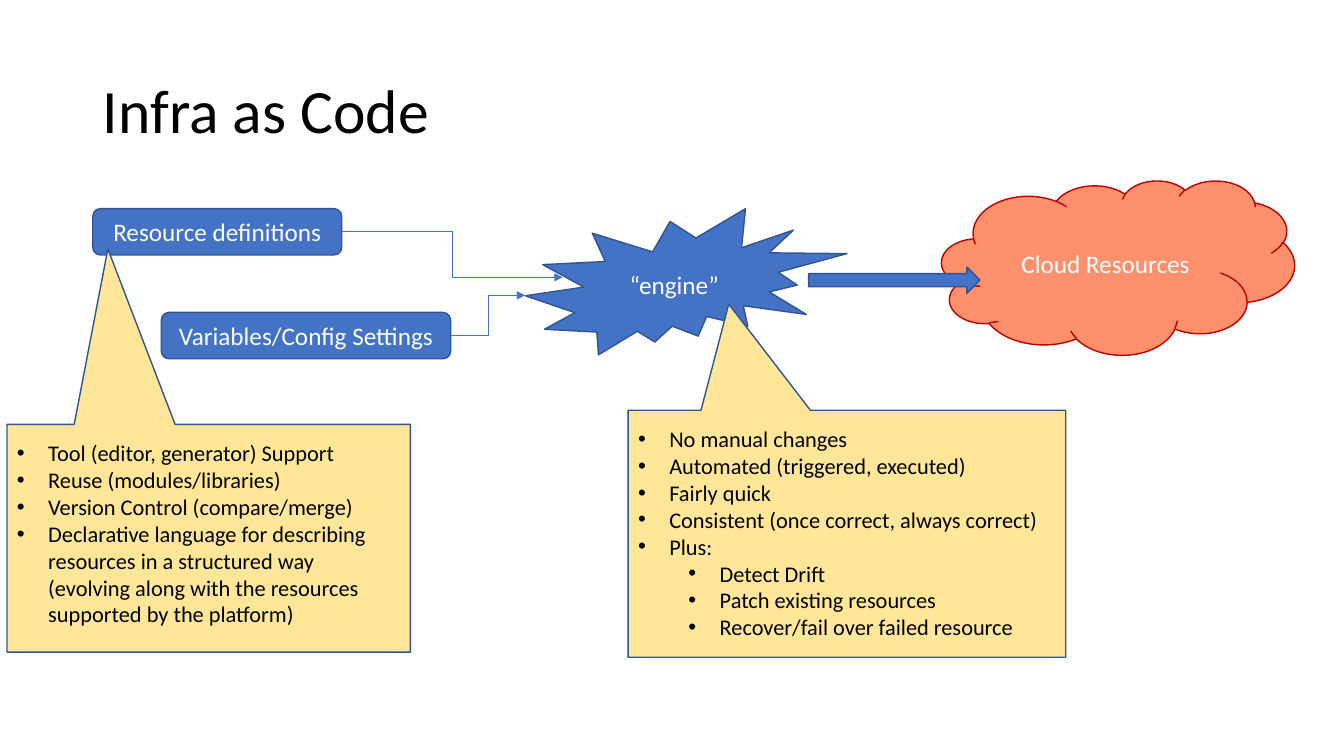
from lxml import etree
from pptx import Presentation
from pptx.dml.color import RGBColor
from pptx.enum.shapes import MSO_CONNECTOR, MSO_SHAPE as Shape
from pptx.enum.text import MSO_ANCHOR, MSO_AUTO_SIZE, PP_ALIGN
from pptx.oxml.ns import qn
from pptx.util import Inches, Pt

BLUE = RGBColor(0x44, 0x72, 0xC4)
NAVY = RGBColor(0x32, 0x54, 0x91)
CORAL = RGBColor(0xFF, 0x90, 0x6D)
RED = RGBColor(0xC0, 0x00, 0x00)
YELLOW = RGBColor(0xFF, 0xE6, 0x99)
WHITE = RGBColor(0xFF, 0xFF, 0xFF)
BLACK = RGBColor(0x00, 0x00, 0x00)

deck = Presentation()
deck.slide_width = Inches(13.33)
deck.slide_height = Inches(7.5)
page = deck.slides.add_slide(deck.slide_layouts[5])


def style_text(para, size, color):
    for span in para.runs:
        span.font.name = "Calibri"
        span.font.size = Pt(size)
        span.font.color.rgb = color


def add_node(kind, bounds, label="", fill=BLUE, outline=NAVY):
    node = page.shapes.add_shape(kind, *map(Inches, bounds))
    node.shadow.inherit = False
    node.fill.solid()
    node.fill.fore_color.rgb = fill
    node.line.color.rgb = outline
    node.line.width = Pt(1)
    if label:
        frame = node.text_frame
        frame.text = label
        frame.vertical_anchor = MSO_ANCHOR.MIDDLE
        frame.paragraphs[0].alignment = PP_ALIGN.CENTER
        style_text(frame.paragraphs[0], 18, WHITE)
    return node


title = page.shapes.title
title.left, title.top = Inches(0.92), Inches(0.4)
title.width, title.height = Inches(11.5), Inches(1.45)
title.text_frame.text = "Infra as Code"
title.text_frame.vertical_anchor = MSO_ANCHOR.MIDDLE
heading = title.text_frame.paragraphs[0]
heading.alignment = PP_ALIGN.LEFT
heading.line_spacing = 0.9
style_text(heading, 44, BLACK)

definitions = add_node(Shape.ROUNDED_RECTANGLE, (0.92, 2.07, 2.47, 0.46), "Resource definitions")
settings = add_node(Shape.ROUNDED_RECTANGLE, (1.6, 3.1, 2.87, 0.46), "Variables/Config Settings")
add_node(Shape.EXPLOSION2, (5.21, 2.07, 3.19, 1.45), "“engine”")

for source, end_x, end_y in [(definitions, 5.58, 2.75), (settings, 5.21, 2.93)]:
    link = page.shapes.add_connector(
        MSO_CONNECTOR.ELBOW,
        source.left + source.width, source.top + source.height // 2,
        Inches(end_x), Inches(end_y))
    link.begin_connect(source, 3)
    link.line.color.rgb = BLUE
    link.line.width = Pt(0.5)
    etree.SubElement(link.line._get_or_add_ln(), qn("a:tailEnd"), type="triangle")
    etree.SubElement(link._element.spPr, qn("a:effectLst"))

add_node(Shape.CLOUD, (9.34, 1.79, 3.5, 1.73), "Cloud Resources", CORAL, RED)

notes = [
    ((6.23, 4.07, 4.34, 2.45), (-0.27, -0.93), (6.23, 4.17, 4.22, 2.52), [
        ("No manual changes", 0),
        ("Automated (triggered, executed)", 0),
        ("Fairly quick", 0),
        ("Consistent (once correct, always correct)", 0),
        ("Plus:", 0),
        ("Detect Drift", 1),
        ("Patch existing resources", 1),
        ("Recover/fail over failed resource", 1),
    ]),
    ((0.07, 4.21, 4, 2.26), (-0.25, -1.27), (0.07, 4.31, 3.74, 2.26), [
        ("Tool (editor, generator) Support", 0),
        ("Reuse (modules/libraries)", 0),
        ("Version Control (compare/merge)", 0),
        ("Declarative language for describing resources in a structured way "
         "(evolving along with the resources supported by the platform)", 0),
    ]),
]
for callout_bounds, pointer, text_bounds, items in notes:
    callout = add_node(Shape.RECTANGULAR_CALLOUT, callout_bounds, fill=YELLOW)
    callout.adjustments[0], callout.adjustments[1] = pointer
    box = page.shapes.add_textbox(*map(Inches, text_bounds))
    frame = box.text_frame
    frame.word_wrap = True
    frame.auto_size = MSO_AUTO_SIZE.SHAPE_TO_FIT_TEXT
    frame.text = "\n".join(text for text, level in items)
    for para, (text, level) in zip(frame.paragraphs, items):
        para.level = level
        props = para._p.get_or_add_pPr()
        props.set("marL", str(Inches(0.31 + 0.5 * level)))
        props.set("indent", str(Inches(-0.31)))
        etree.SubElement(props, qn("a:buFont"), typeface="Arial")
        etree.SubElement(props, qn("a:buChar"), char="•")
        style_text(para, 16, BLACK)

add_node(Shape.RIGHT_ARROW, (8.02, 2.65, 1.7, 0.26))

deck.save("out.pptx")
